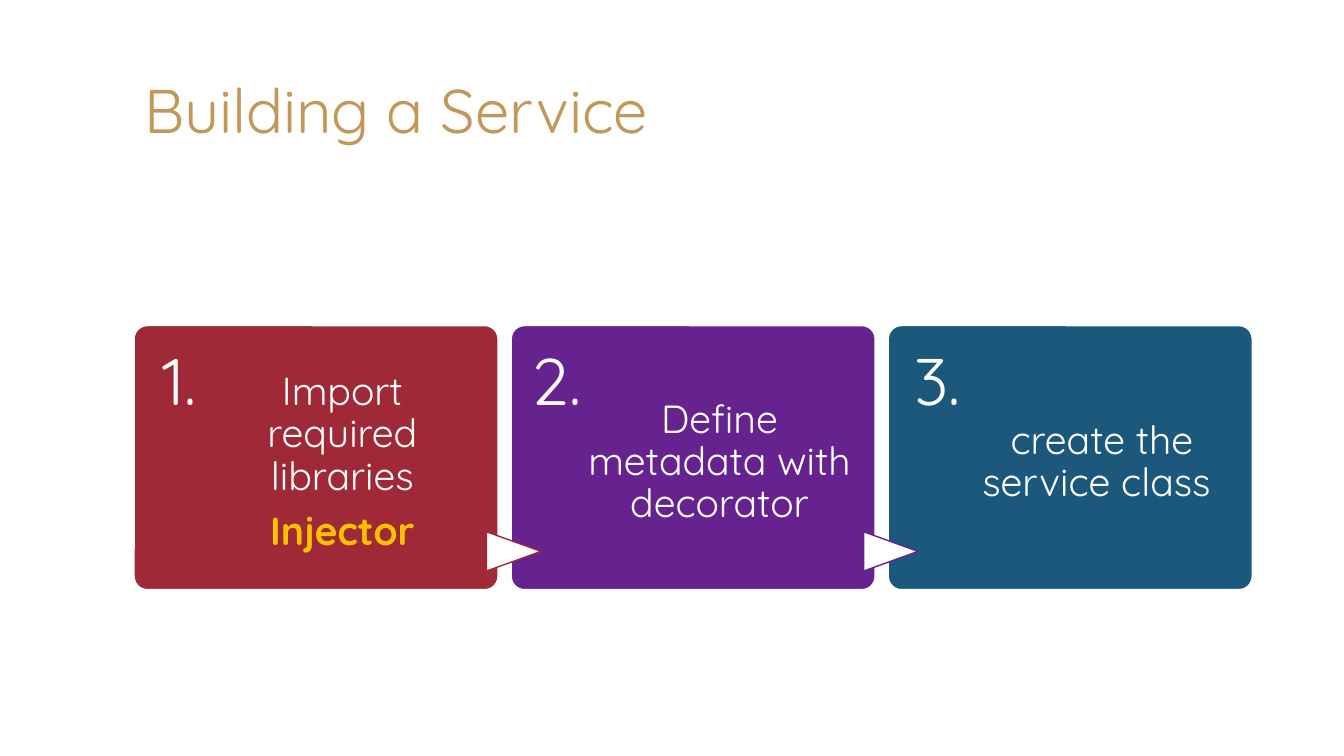
from pptx import Presentation
from pptx.dml.color import RGBColor
from pptx.enum.shapes import MSO_SHAPE as Preset
from pptx.enum.text import MSO_ANCHOR as Anchor, MSO_AUTO_SIZE as AutoSize, PP_ALIGN as Align
from pptx.util import Inches, Pt

COLORS = {
    "gold": "C19859",
    "red": "9F2936",
    "purple": "66228E",
    "blue": "1B587C",
    "white": "FFFFFF",
    "amber": "FFC000",
}
STEPS = [
    ("red", Align.CENTER, ["Import required libraries", "Injector"]),
    ("purple", Align.CENTER, ["Define metadata with decorator"]),
    ("blue", Align.RIGHT, [" create the service class"]),
]
LEFT, TOP, PITCH = 1.33, 3.23, 3.74
CARD_WIDTH, CARD_HEIGHT = 3.61, 2.62
NUMBER_WIDTH, TEXT_WIDTH = 0.72, 2.69


def color(name):
    return RGBColor.from_string(COLORS[name])


def write(para, text, size=28, ink="white", bold=False, align=Align.CENTER, spacing=0.9, after=9):
    para.alignment = align
    para.line_spacing = spacing
    para.space_after = Pt(after)
    span = para.add_run()
    span.text = text
    span.font.name = "Quicksand"
    span.font.size = Pt(size)
    span.font.bold = bold
    span.font.color.rgb = color(ink)


class ServicePage:
    def __init__(self, deck):
        self.page = deck.slides.add_slide(deck.slide_layouts[5])

    def title(self, text):
        box = self.page.shapes.title
        box.left, box.top = Inches(LEFT), Inches(0.4)
        box.width, box.height = Inches(11.08), Inches(1.45)
        frame = box.text_frame
        frame.auto_size = AutoSize.NONE
        frame.vertical_anchor = Anchor.MIDDLE
        write(frame.paragraphs[0], text, size=44, ink="gold", align=Align.LEFT, after=0)

    def shape(self, preset, left, top, width, height, fill, line):
        box = self.page.shapes.add_shape(
            preset, Inches(left), Inches(top), Inches(width), Inches(height))
        box.shadow.inherit = False
        box.fill.solid()
        box.fill.fore_color.rgb = color(fill)
        box.line.color.rgb = color(line)
        box.line.width = Pt(1)
        return box

    def card(self, left, fill):
        box = self.shape(Preset.ROUNDED_RECTANGLE, left, TOP, CARD_WIDTH, CARD_HEIGHT, fill, "white")
        box.adjustments[0] = 0.05

    def arrow(self, card_left, line):
        box = self.shape(Preset.FLOWCHART_EXTRACT, card_left - 0.17, 5.2, 0.39, 0.54, "white", line)
        box.rotation = 90

    def text_box(self, left, width, height, inset_left, inset_top, anchor):
        box = self.page.shapes.add_textbox(
            Inches(left), Inches(TOP), Inches(width), Inches(height))
        frame = box.text_frame
        frame.word_wrap = True
        frame.vertical_anchor = anchor
        frame.margin_left, frame.margin_top = Inches(inset_left), Inches(inset_top)
        frame.margin_right = frame.margin_bottom = 0
        return frame

    def number(self, left, text, align):
        frame = self.text_box(left, NUMBER_WIDTH, 2.15, 0.18, 0.23, Anchor.TOP)
        write(frame.paragraphs[0], text, size=47, align=align)

    def description(self, left, lines):
        frame = self.text_box(left, TEXT_WIDTH, CARD_HEIGHT, 0, 0.1, Anchor.MIDDLE)
        write(frame.paragraphs[0], lines[0])
        for line in lines[1:]:
            write(frame.add_paragraph(), line, ink="amber", bold=True)


def main():
    deck = Presentation()
    deck.slide_width, deck.slide_height = Inches(13.33), Inches(7.5)
    page = ServicePage(deck)
    page.title("Building a Service")
    for index, (fill, align, lines) in enumerate(STEPS):
        left = LEFT + index * PITCH
        page.card(left, fill)
        page.number(left, f"{index + 1}.", align)
        if index:
            page.arrow(left, STEPS[index - 1][0])
        page.description(left + NUMBER_WIDTH, lines)
    deck.save("out.pptx")


if __name__ == "__main__":
    main()
